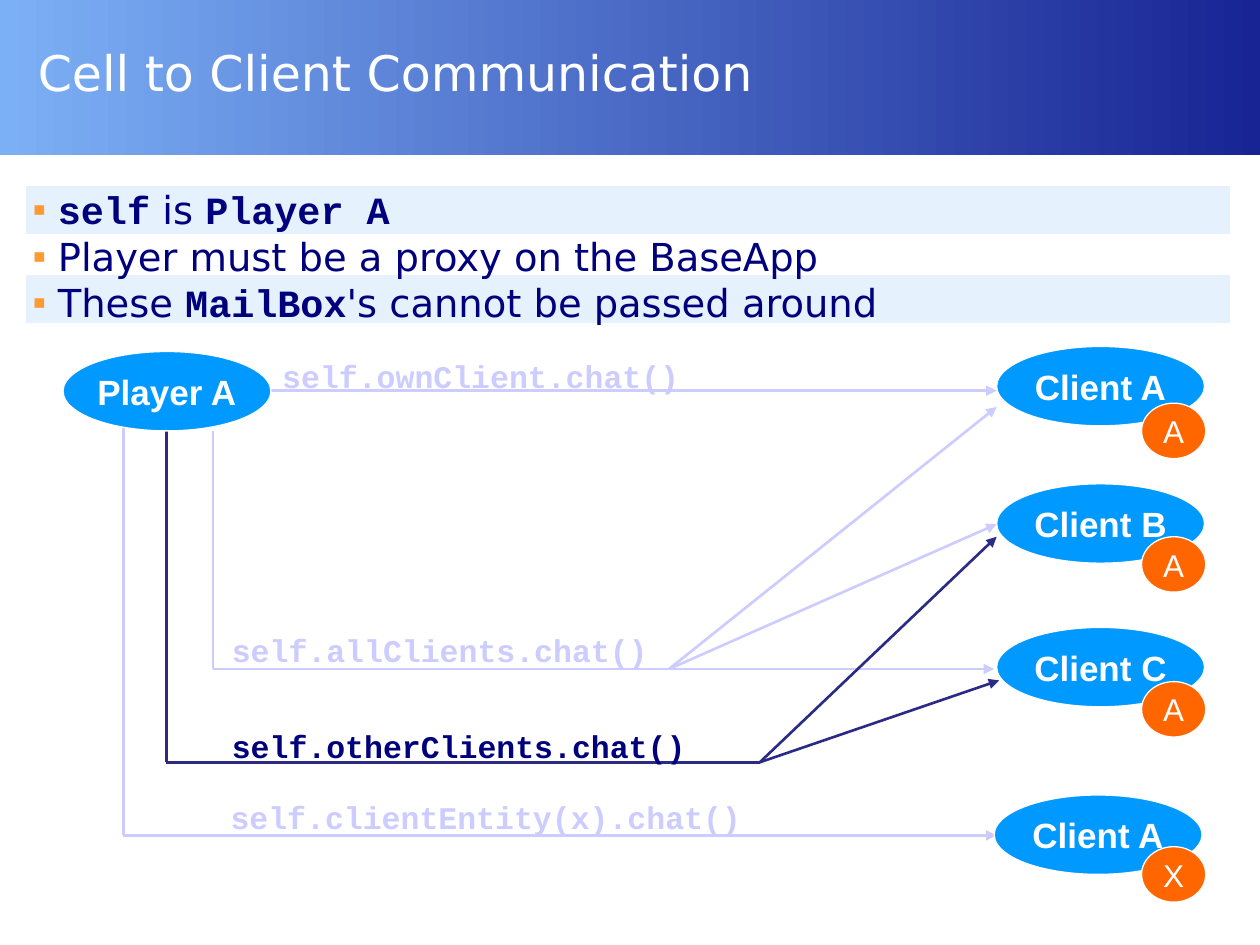
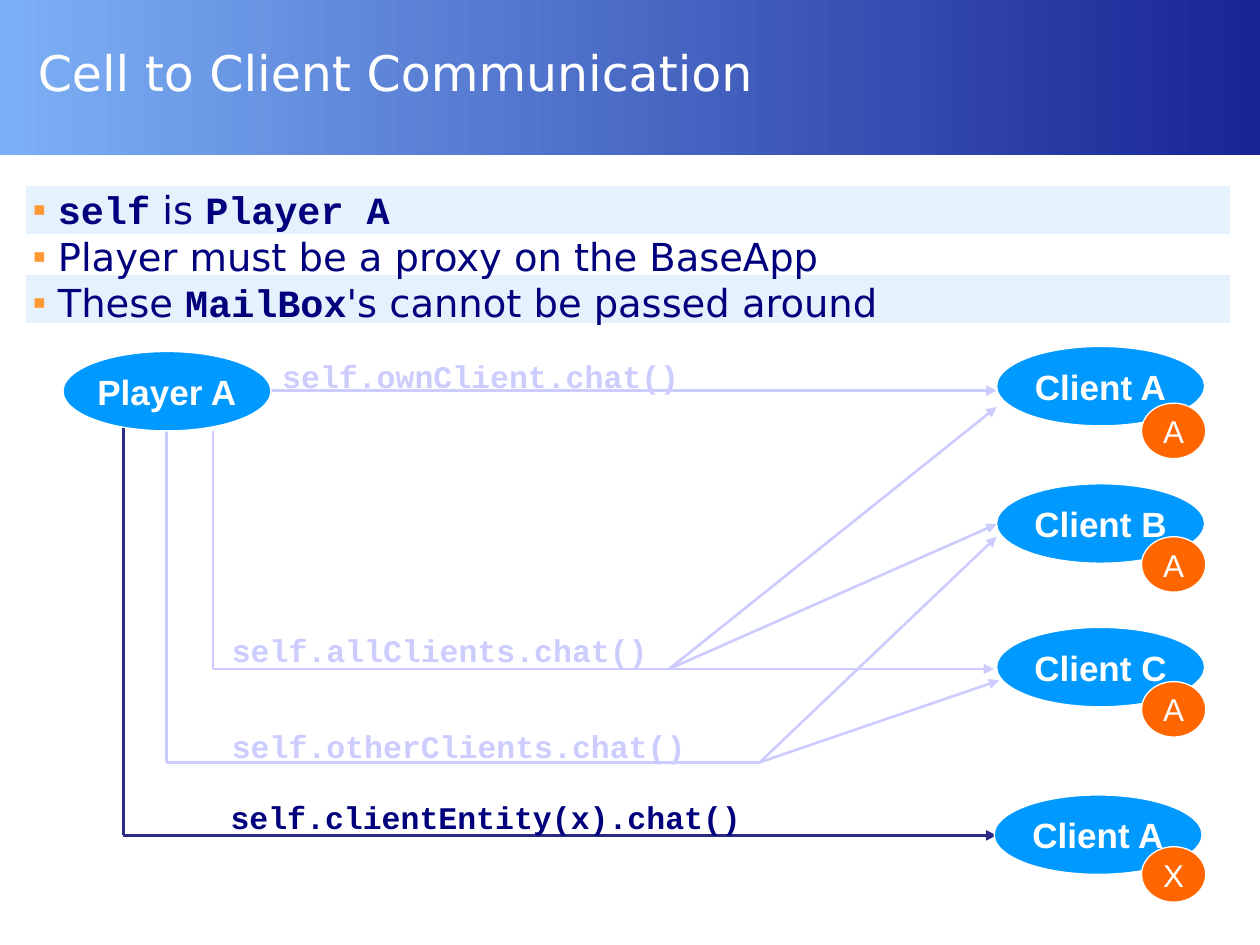
from lxml.etree import SubElement
from pptx import Presentation
from pptx.dml.color import RGBColor
from pptx.enum.shapes import MSO_CONNECTOR, MSO_SHAPE
from pptx.enum.text import MSO_ANCHOR, MSO_AUTO_SIZE, PP_ALIGN
from pptx.oxml.ns import qn
from pptx.util import Inches, Pt

WHITE, NAVY, DARK_LINE, FADED = "FFFFFF", "00007D", "2B2B85", "CCCCFF"
STRIPE, BULLET, ENTITY, GHOST = "E6F1FE", "FF9933", "0099FF", "FF6600"
BAND_LEFT, BAND_RIGHT = "7CB0F6", "182494"

TITLE_FONT = {"name": "DejaVu Sans", "size": Pt(28), "bold": False, "color": WHITE}
BODY_FONT = {"name": "DejaVu Sans", "size": Pt(22), "bold": False, "color": NAVY}
BODY_CODE = {**BODY_FONT, "name": "Courier New", "bold": True}
CALL_FONT = {"name": "Courier New", "size": Pt(18), "bold": True}
ENTITY_FONT = {"name": "Arial", "size": Pt(20), "bold": True, "color": WHITE}
GHOST_FONT = {"name": "Arial", "size": Pt(18), "bold": False, "color": WHITE}

STRIPE_LEFT, STRIPE_WIDTH = 0.2, 9.57
CALL_SIZE = (4.3, 0.3)
ENTITY_SIZE, GHOST_SIZE = (1.65, 0.63), (0.51, 0.44)
GHOST_X = 9.06

# Each bullet is a list of (text, is code).
BULLETS = [
    [("self", True), (" is ", False), ("Player A", True)],
    [("Player must be a proxy on the BaseApp", False)],
    [("These ", False), ("MailBox", True), ("'s cannot be passed around", False)],
]

# Call: (label place, trunk points, arrow tips reached from the trunk's end)
ROUTES = {
    "self.ownClient.chat()": (
        (2.24, 2.83), [(2.15, 3.1)], [(7.91, 3.1)]),
    "self.allClients.chat()": (
        (1.84, 5.01), [(1.69, 3.42), (1.69, 5.31), (5.31, 5.31)],
        [(7.91, 3.23), (7.91, 4.16), (7.89, 5.31)]),
    "self.otherClients.chat()": (
        (1.84, 5.77), [(1.32, 3.42), (1.32, 6.05), (6.03, 6.05)],
        [(7.91, 4.26), (7.93, 5.4)]),
    "self.clientEntity(x).chat()": (
        (1.83, 6.33), [(0.98, 3.36), (0.98, 6.63)], [(7.91, 6.63)]),
}

# Client name, left, top, ghost name, ghost top
CLIENTS = [
    ("Client A", 7.91, 2.75, "A", 3.2),
    ("Client B", 7.91, 3.84, "A", 4.26),
    ("Client C", 7.91, 4.98, "A", 5.41),
    ("Client A", 7.89, 6.31, "X", 6.72),
]


def rgb(value):
    return RGBColor.from_string(value)


def set_format(target, values):
    for name, value in values.items():
        if name == "color":
            target.color.rgb = rgb(value)
        else:
            setattr(target, name, value)


def set_frame(frame, insets, **values):
    sides = ("margin_left", "margin_top", "margin_right", "margin_bottom")
    set_format(frame, dict(zip(sides, map(Inches, insets))))
    set_format(frame, values)


def add_span(para, text, font):
    span = para.add_run()
    span.text = text
    set_format(span.font, font)


def add_block(page, kind, left, top, width, height, fill):
    block = page.shapes.add_shape(kind, *map(Inches, (left, top, width, height)))
    block.shadow.inherit = False
    block.fill.solid()
    block.fill.fore_color.rgb = rgb(fill)
    set_format(block.line, {"color": WHITE, "width": Pt(0.75)})
    return block


def add_oval(page, text, left, top, size, fill, font):
    oval = add_block(page, MSO_SHAPE.OVAL, left, top, *size, fill)
    set_frame(oval.text_frame, (0.1, 0.05, 0.1, 0.05), word_wrap=False,
              vertical_anchor=MSO_ANCHOR.MIDDLE)
    para = oval.text_frame.paragraphs[0]
    para.alignment = PP_ALIGN.CENTER
    add_span(para, text, font)


def add_line(page, start, end, color, arrow=False):
    line = page.shapes.add_connector(MSO_CONNECTOR.STRAIGHT, *map(Inches, start + end))
    set_format(line.line, {"color": color, "width": Pt(1.5)})
    if arrow:
        SubElement(line.line._get_or_add_ln(), qn("a:tailEnd"), type="triangle")
    SubElement(line._element.spPr, qn("a:effectLst"))


def add_text_box(page, left, top, width, height):
    return page.shapes.add_textbox(*map(Inches, (left, top, width, height))).text_frame


def add_route(page, trunk, tips, color):
    for start, end in zip(trunk, trunk[1:]):
        add_line(page, start, end, color)
    for tip in tips:
        add_line(page, trunk[-1], tip, color, arrow=True)


def add_call(page, text, place, color):
    frame = add_text_box(page, *place, *CALL_SIZE)
    set_frame(frame, (0, 0, 0, 0), word_wrap=True, auto_size=MSO_AUTO_SIZE.NONE)
    add_span(frame.paragraphs[0], text, {**CALL_FONT, "color": color})


def add_bullets(page):
    for top in (2.18, 1.47):
        add_block(page, MSO_SHAPE.RECTANGLE, STRIPE_LEFT, top, STRIPE_WIDTH, 0.39, STRIPE)
    frame = add_text_box(page, STRIPE_LEFT, 1.47, STRIPE_WIDTH, 1.06)
    set_frame(frame, (0.06, 0.01, 0, 0), word_wrap=True)
    for index, spans in enumerate(BULLETS):
        para = frame.add_paragraph() if index else frame.paragraphs[0]
        props = para._p.get_or_add_pPr()
        props.set("marL", str(Inches(0.2)))
        props.set("indent", str(-Inches(0.2)))
        SubElement(SubElement(props, qn("a:buClr")), qn("a:srgbClr"), val=BULLET)
        SubElement(props, qn("a:buFont"), typeface="Arial")
        SubElement(props, qn("a:buChar"), char="▪")
        for text, is_code in spans:
            add_span(para, text, BODY_CODE if is_code else BODY_FONT)


def add_title(page, text):
    title = page.shapes.title
    set_format(title, {"left": Inches(STRIPE_LEFT), "top": 0,
                       "width": Inches(STRIPE_WIDTH), "height": Inches(1.15)})
    set_frame(title.text_frame, (0.1, 0.04, 0.1, 0.05), word_wrap=True,
              auto_size=MSO_AUTO_SIZE.NONE, vertical_anchor=MSO_ANCHOR.MIDDLE)
    para = title.text_frame.paragraphs[0]
    para.alignment = PP_ALIGN.LEFT
    add_span(para, text, TITLE_FONT)


def add_band(page):
    """Draw the title band and move it to the layout, so that all slides share it."""
    band = add_block(page, MSO_SHAPE.RECTANGLE, 0, 0, 10, 1.23, BAND_LEFT)
    band.line.fill.background()
    band.fill.gradient()
    band.fill.gradient_angle = 0
    for stop, color in zip(band.fill.gradient_stops, (BAND_LEFT, BAND_RIGHT)):
        stop.color.rgb = rgb(color)
    page.slide_layout.shapes._spTree.insert(2, band._element)


def add_diagram(page, active_call):
    for call, (_, trunk, tips) in ROUTES.items():
        add_route(page, trunk, tips, DARK_LINE if call == active_call else FADED)
    for call, (place, _, _) in ROUTES.items():
        add_call(page, call, place, NAVY if call == active_call else FADED)
    add_oval(page, "Player A", 0.5, 2.79, ENTITY_SIZE, ENTITY, ENTITY_FONT)
    for name, left, top, ghost, ghost_top in CLIENTS:
        add_oval(page, name, left, top, ENTITY_SIZE, ENTITY, ENTITY_FONT)
        add_oval(page, ghost, GHOST_X, ghost_top, GHOST_SIZE, GHOST, GHOST_FONT)


def main():
    deck = Presentation()
    deck.slide_width, deck.slide_height = Inches(10), Inches(7.5)
    title_only = deck.slide_layouts[5]
    for active_call in ("self.otherClients.chat()", "self.clientEntity(x).chat()"):
        page = deck.slides.add_slide(title_only)
        add_title(page, "Cell to Client Communication")
        add_bullets(page)
        add_diagram(page, active_call)
    add_band(deck.slides[0])
    deck.save("out.pptx")


if __name__ == "__main__":
    main()
